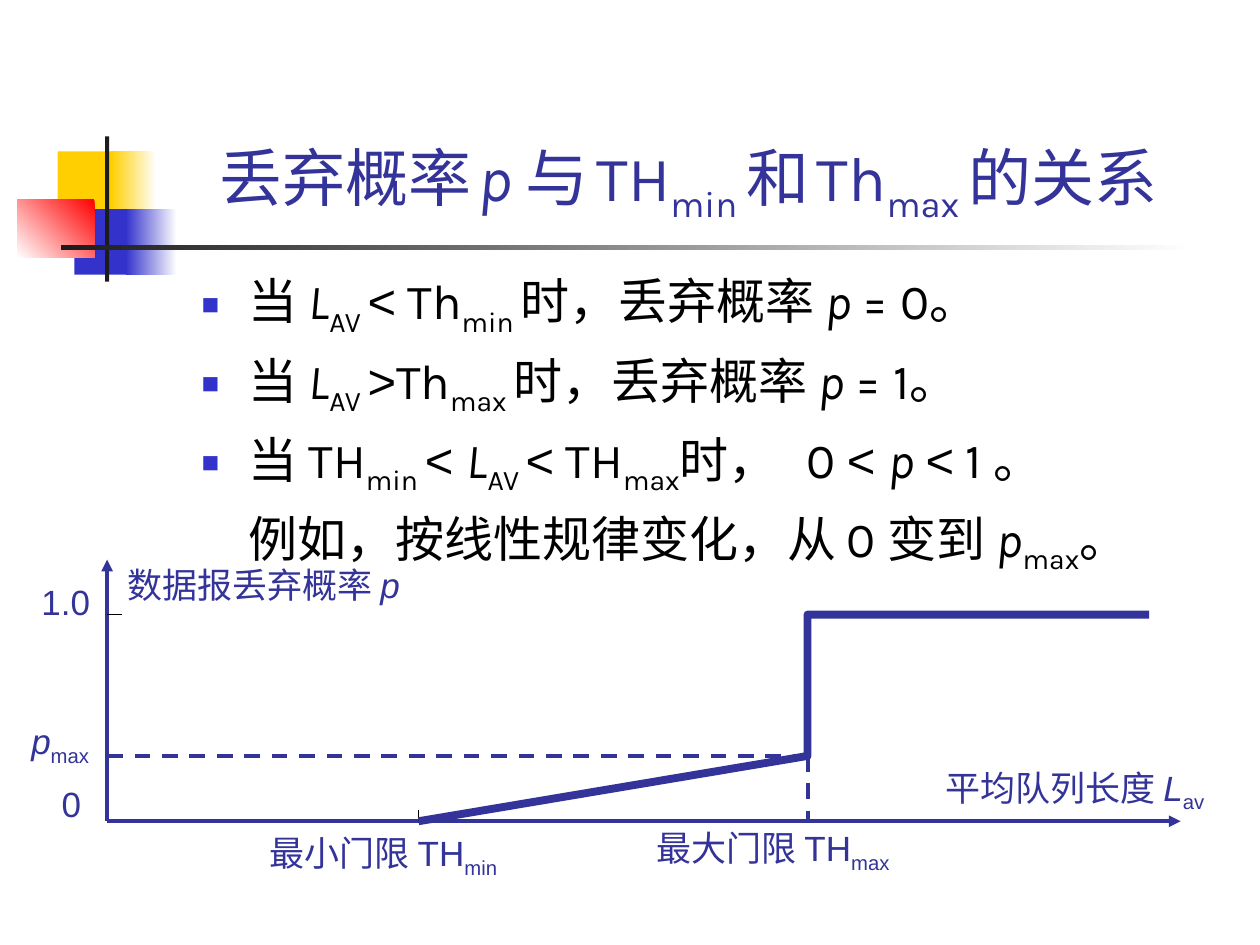
"""Builds a slide on how the drop probability depends on the queue thresholds."""
from lxml.etree import SubElement
from pptx import Presentation
from pptx.dml.color import RGBColor
from pptx.enum.dml import MSO_LINE as DASH
from pptx.enum.shapes import MSO_CONNECTOR as CONN, MSO_SHAPE as SHAPE
from pptx.enum.text import MSO_ANCHOR as ANCHOR, MSO_AUTO_SIZE as AUTO, PP_ALIGN as ALIGN
from pptx.oxml.ns import qn
from pptx.util import Pt

THEME = {
    "ink": "333399", "text": "000000", "blue": "3333CC", "yellow": "FFCF01",
    "red": "FF0000", "dark": "1C1C1C", "white": "FFFFFF",
    "font": "Karla", "label_font": "Arial",
    "title": 36, "body": 28, "label": 20,
    "thin": 0.75, "axis": 2.25, "curve": 4.5,
}

TITLE = [("丢弃概率", ""), (" ", "gap18"), ("p ", "i"), ("与", ""), (" ", "gap20"),
         ("TH", ""), ("min ", "sub"), ("和", ""), (" ", "gap20"), ("Th", ""),
         ("max ", "sub"), ("的关系 ", "")]
BULLETS = [
    [("当 ", ""), ("L", "i"), ("AV ", "sub"), ("<", "arial"), (" Th", ""), ("min ", "sub"),
     ("时，丢弃概率 ", ""), ("p", "i"), (" = 0。", "")],
    [("当 ", ""), ("L", "i"), ("AV ", "sub"), (">", "arial"), ("Th", ""), ("max ", "sub"),
     ("时，丢弃概率 ", ""), ("p", "i"), (" = 1。", "")],
    [("当 TH", ""), ("min ", "sub"), ("< ", "arial"), ("L", "i"), ("AV ", "sub"),
     ("<", "arial"), (" TH", ""), ("max", "sub"), ("时，", ""), (" ", "wide"), ("0 ", ""),
     ("< ", "arial"), ("p ", "i"), ("<", "arial"), (" 1 。", "")],
]
EXAMPLE = [("例如，按线性规律变化，从 0 变到 ", ""), ("p", "i"), ("max", "sub"), ("。", "")]

DECOR = [
    ((33, 86.5, 34.5, 37.5), "yellow", None, 0),
    ((63.5, 86.5, 26, 37.5), "white", "yellow", 180),
    ((42.5, 119.5, 33, 37.5), "blue", None, 0),
    ((72, 119.5, 29, 37.5), "white", "blue", 180),
    ((10, 113.8, 44, 33.4), "red", "white", 225),
    ((60, 78, 2.4, 83), "dark", None, 0),
    ((34.8, 140.2, 648, 2.5), "white", "dark", 180),
]

X0, X_MIN, X_MAX, X_CURVE, X_END = 61.2, 239.2, 461.5, 656.7, 674.7
Y0, Y_PMAX, Y_ONE, Y_TOP = 469.3, 432, 351.2, 319.8
TICK = 6.5
CURVE = [(X_MIN, Y0), (X_MAX, Y_PMAX), (X_MAX, Y_ONE), (X_CURVE, Y_ONE)]
LINES = [
    ((X0, Y0), (X_END, Y0), "ink", "axis", "arrow"),
    ((X0, Y0), (X0, Y_TOP), "ink", "axis", "arrow"),
    ((X_MAX, Y_PMAX), (X_MAX, Y0), "ink", "axis", "dash"),
    ((X0, Y_PMAX), (X_MAX, Y_PMAX), "ink", "axis", "dash"),
    ((X_MIN, Y0 - TICK), (X_MIN, Y0), "text", "thin", ""),
    ((X0, Y_ONE), (X0 + TICK + 2.3, Y_ONE), "text", "thin", ""),
]
LABELS = [
    ((147, 471.6, 155, 34.5), [("最小门限 TH", ""), ("min", "sub")]),
    ((368, 468.7, 157.5, 34.5), [("最大门限 TH", ""), ("max", "sub")]),
    ((533, 434.2, 173, 34.5), [("平均队列长度 ", ""), ("L", "i"), ("av", "sub")]),
    ((65.5, 318.2, 181, 31.5), [("数据报丢弃概率 ", ""), ("p", "i")]),
    ((16.6, 328.3, 42, 31.5), [("1.0", "")]),
    ((28.1, 443.5, 25, 31.5), [("0", "")]),
    ((10.8, 407.5, 47.5, 34.5), [("p", "i"), ("max", "sub")]),
]


def rgb(name):
    return RGBColor.from_string(THEME[name])


def add_runs(p, runs, size, color, font="font"):
    for text, style in runs:
        r = p.add_run()
        r.text = text
        f = r.font
        f.name = THEME["label_font" if style == "arial" else font]
        f.size = Pt(int(style[3:]) if style.startswith("gap") else THEME[size])
        f.color.rgb = rgb(color)
        f.italic = style == "i"
        if style == "sub":
            f._element.set("baseline", "-25000")
        elif style == "wide":
            f._element.set("spc", "1000")


def place(sp, box):
    sp.left, sp.top, sp.width, sp.height = map(Pt, box)


def set_bullet(p, shown):
    pPr = p._p.get_or_add_pPr()
    pPr.set("marL", str(Pt(27)))
    pPr.set("indent", str(Pt(-27 if shown else 0)))
    if shown:
        clr = SubElement(pPr, qn("a:buClr"))
        SubElement(clr, qn("a:srgbClr"), val=THEME["blue"])
        SubElement(pPr, qn("a:buSzPct"), val="60000")
        SubElement(pPr, qn("a:buChar"), char="■")
    else:
        SubElement(pPr, qn("a:buNone"))


def add_decor(s, box, first, second, angle):
    sp = s.shapes.add_shape(SHAPE.RECTANGLE, *map(Pt, box))
    sp.shadow.inherit = False
    sp.line.fill.background()
    if second is None:
        sp.fill.solid()
        sp.fill.fore_color.rgb = rgb(first)
        return
    sp.fill.gradient()
    sp.fill.gradient_angle = angle
    for stop, name in zip(sp.fill.gradient_stops, (first, second)):
        stop.color.rgb = rgb(name)


def add_line(s, start, end, color, width, kind):
    line = s.shapes.add_connector(CONN.STRAIGHT, *map(Pt, start + end))
    line.line.color.rgb = rgb(color)
    line.line.width = Pt(THEME[width])
    if kind == "dash":
        line.line.dash_style = DASH.DASH
    elif kind == "arrow":
        SubElement(line.line._get_or_add_ln(), qn("a:tailEnd"), type="triangle")
    SubElement(line._element.spPr, qn("a:effectLst"))


def add_curve(s):
    points = [(Pt(x), Pt(y)) for x, y in CURVE]
    builder = s.shapes.build_freeform(*points[0])
    builder.add_line_segments(points[1:], close=False)
    sp = builder.convert_to_shape()
    sp.shadow.inherit = False
    sp.fill.background()
    sp.line.color.rgb = rgb("ink")
    sp.line.width = Pt(THEME["curve"])


def add_label(s, box, runs):
    tf = s.shapes.add_textbox(*map(Pt, box)).text_frame
    tf.word_wrap = False
    tf.auto_size = AUTO.SHAPE_TO_FIT_TEXT
    add_runs(tf.paragraphs[0], runs, "label", "ink", "label_font")


def fill_title(sp):
    place(sp, (90.7, 16.6, 613.4, 115.2))
    tf = sp.text_frame
    tf.auto_size = AUTO.NONE
    tf.vertical_anchor = ANCHOR.BOTTOM
    p = tf.paragraphs[0]
    p.alignment = ALIGN.CENTER
    add_runs(p, TITLE, "title", "ink")


def fill_body(sp):
    place(sp, (108, 151.2, 612, 187.2))
    tf = sp.text_frame
    tf.auto_size = AUTO.NONE
    for i, runs in enumerate(BULLETS + [EXAMPLE]):
        p = tf.add_paragraph() if i else tf.paragraphs[0]
        set_bullet(p, i < len(BULLETS))
        p.space_before = Pt(7 if i else 0)
        add_runs(p, runs, "body", "text")


def main():
    prs = Presentation()
    prs.slide_width, prs.slide_height = Pt(720), Pt(540)
    s = prs.slides.add_slide(prs.slide_layouts[1])
    for item in DECOR:
        add_decor(s, *item)
    fill_title(s.shapes.title)
    fill_body(s.placeholders[1])
    for item in LINES:
        add_line(s, *item)
    add_curve(s)
    for item in LABELS:
        add_label(s, *item)
    prs.save("out.pptx")


if __name__ == "__main__":
    main()
